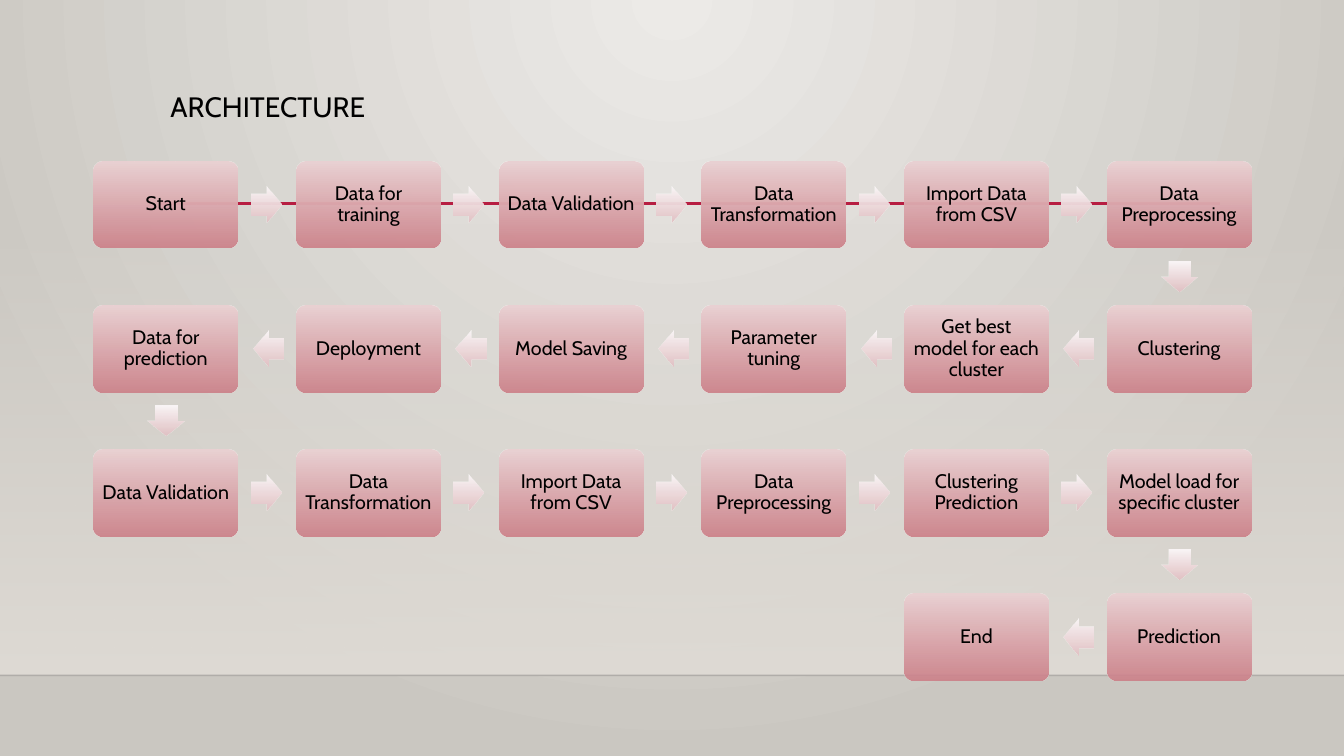
"""Build the architecture slide: a snaking flow of pipeline steps."""
from dataclasses import dataclass

import pptx
import pptx.dml.fill
import pptx.enum.shapes
import pptx.enum.text
import pptx.oxml
import pptx.oxml.ns
import pptx.shapes.autoshape
import pptx.shapes.connector
import pptx.slide
import pptx.util
from lxml import etree
from pptx.dml.color import RGBColor
from pptx.util import Inches

COLORS = {
    "text": "000000",
    "centre": "ECEAE7",
    "edge": "CAC7C1",
    "wall": "DFDBD5",
    "floor_line": "000001",
    "accent": "B71E42",
    "step_top": "EAD1D3",
    "step_bottom": "CD828A",
    "arrow_top": "FAF5F6",
    "arrow_bottom": "E2C1C4",
}
FONT = "Cabin"
STEPS = [
    "Start", "Data for training", "Data Validation",
    "Data Transformation", "Import Data from CSV", "Data Preprocessing",
    "Clustering", "Get best model for each cluster", "Parameter tuning",
    "Model Saving", "Deployment", "Data for prediction",
    "Data Validation", "Data Transformation", "Import Data from CSV",
    "Data Preprocessing", "Clustering Prediction", "Model load for specific cluster",
    "Prediction", "End",
]
COLUMNS = 6
LEFT, TOP = 0.93, 1.6
PITCH_X, PITCH_Y = 2.01, 1.43
STEP_W, STEP_H = 1.43, 0.86
ARROW_W, ARROW_H = 0.3, 0.36
SHAPES = pptx.enum.shapes.MSO_SHAPE


@dataclass
class Step:
    text: str
    x: float
    y: float


@dataclass
class Arrow:
    x: float
    y: float
    rotation: int


def place_steps() -> list[Step]:
    steps = []
    for index, text in enumerate(STEPS):
        row, place = divmod(index, COLUMNS)
        column = COLUMNS - 1 - place if row % 2 else place
        steps.append(Step(text, LEFT + column * PITCH_X, TOP + row * PITCH_Y))
    return steps


def arrow_between(step: Step, following: Step) -> Arrow:
    middle_x = step.x + (STEP_W - ARROW_W) / 2
    middle_y = step.y + (STEP_H - ARROW_H) / 2
    if following.y > step.y:
        return Arrow(middle_x, step.y + 0.96, 90)
    if following.x > step.x:
        return Arrow(step.x + 1.56, middle_y, 0)
    return Arrow(step.x - 0.43, middle_y, 180)


def set_alpha(color: etree.ElementBase, percent: int) -> None:
    alpha = etree.SubElement(color, pptx.oxml.ns.qn("a:alpha"))
    alpha.set("val", str(percent * 1000))


def set_gradient(fill: pptx.dml.fill.FillFormat, first: str, last: str) -> None:
    fill.gradient()
    fill.gradient_angle = 270
    for stop, position, name in zip(fill.gradient_stops, (0, 1), (first, last)):
        stop.position = position
        stop.color.rgb = RGBColor.from_string(COLORS[name])


def paint_background(slide: pptx.slide.Slide) -> None:
    set_gradient(slide.background.fill, "centre", "edge")
    gradient = next(slide.element.iter(pptx.oxml.ns.qn("a:gradFill")))
    gradient.remove(gradient.find(pptx.oxml.ns.qn("a:lin")))
    radial = etree.SubElement(gradient, pptx.oxml.ns.qn("a:path"), {"path": "circle"})
    focus = {"l": "43000", "t": "0", "r": "43000", "b": "100000"}
    etree.SubElement(radial, pptx.oxml.ns.qn("a:fillToRect"), focus)


def add_block(slide: pptx.slide.Slide, kind: pptx.enum.shapes.MSO_SHAPE,
              box: tuple[float, float, float, float], first: str, last: str,
              alphas: tuple[int, int]) -> pptx.shapes.autoshape.Shape:
    block = slide.shapes.add_shape(kind, *map(Inches, box))
    block.shadow.inherit = False
    block.line.fill.background()
    set_gradient(block.fill, first, last)
    gradient = next(block.element.iter(pptx.oxml.ns.qn("a:gradFill")))
    gradient.set("rotWithShape", "0")
    for color, percent in zip(gradient.iter(pptx.oxml.ns.qn("a:srgbClr")), alphas):
        if percent < 100:
            set_alpha(color, percent)
    return block


def add_rule(slide: pptx.slide.Slide, start: float, end: float, y: float,
             color: str, width: float) -> pptx.shapes.connector.Connector:
    rule = slide.shapes.add_connector(
        pptx.enum.shapes.MSO_CONNECTOR.STRAIGHT,
        Inches(start), Inches(y), Inches(end), Inches(y))
    rule.line.color.rgb = RGBColor.from_string(COLORS[color])
    rule.line.width = pptx.util.Pt(width)
    etree.SubElement(rule.element.spPr, pptx.oxml.ns.qn("a:effectLst"))
    return rule


def set_text(shape: pptx.shapes.autoshape.Shape, text: str, size: int,
             align: pptx.enum.text.PP_ALIGN, anchor: pptx.enum.text.MSO_ANCHOR) -> None:
    shape.text_frame.text = text
    shape.text_frame.word_wrap = True
    shape.text_frame.vertical_anchor = anchor
    paragraph = shape.text_frame.paragraphs[0]
    paragraph.alignment = align
    paragraph.line_spacing = 0.9
    paragraph.font.name = FONT
    paragraph.font.size = pptx.util.Pt(size)
    paragraph.font.color.rgb = RGBColor.from_string(COLORS["text"])


def draw_step(slide: pptx.slide.Slide, step: Step) -> None:
    box = add_block(slide, SHAPES.ROUNDED_RECTANGLE, (step.x, step.y, STEP_W, STEP_H),
                    "step_top", "step_bottom", (100, 92))
    box.adjustments[0] = 0.1
    frame = box.text_frame
    frame.margin_left = frame.margin_right = Inches(0.06)
    frame.margin_top = frame.margin_bottom = Inches(0.06)
    set_text(box, step.text, 14, pptx.enum.text.PP_ALIGN.CENTER,
             pptx.enum.text.MSO_ANCHOR.MIDDLE)


def draw_arrow(slide: pptx.slide.Slide, arrow: Arrow) -> None:
    pointer = add_block(slide, SHAPES.RIGHT_ARROW, (arrow.x, arrow.y, ARROW_W, ARROW_H),
                        "arrow_top", "arrow_bottom", (100, 92))
    pointer.adjustments[0] = 0.6
    pointer.adjustments[1] = 0.5
    pointer.rotation = arrow.rotation


def main() -> None:
    deck = pptx.Presentation()
    deck.slide_width, deck.slide_height = Inches(13.33), Inches(7.5)
    slide = deck.slides.add_slide(deck.slide_layouts.get_by_name("Title Only"))
    paint_background(slide)

    title = slide.shapes.title
    title.left, title.top = Inches(1.59), Inches(0.88)
    title.width, title.height = Inches(10.5), Inches(1.15)
    set_text(title, "ARCHITECTURE", 20, pptx.enum.text.PP_ALIGN.LEFT,
             pptx.enum.text.MSO_ANCHOR.TOP)

    add_block(slide, SHAPES.RECTANGLE, (0, 2.21, 13.33, 4.49), "wall", "wall", (0, 100))
    floor_line = add_rule(slide, 0, 13.33, 6.7, "floor_line", 1)
    set_alpha(next(floor_line.element.iter(pptx.oxml.ns.qn("a:srgbClr"))), 20)
    add_rule(slide, 1.59, 12.1, 2.02, "accent", 2.5)

    steps = place_steps()
    for step in steps:
        draw_step(slide, step)
    for step, following in zip(steps, steps[1:]):
        draw_arrow(slide, arrow_between(step, following))
    deck.save("out.pptx")


if __name__ == "__main__":
    main()
